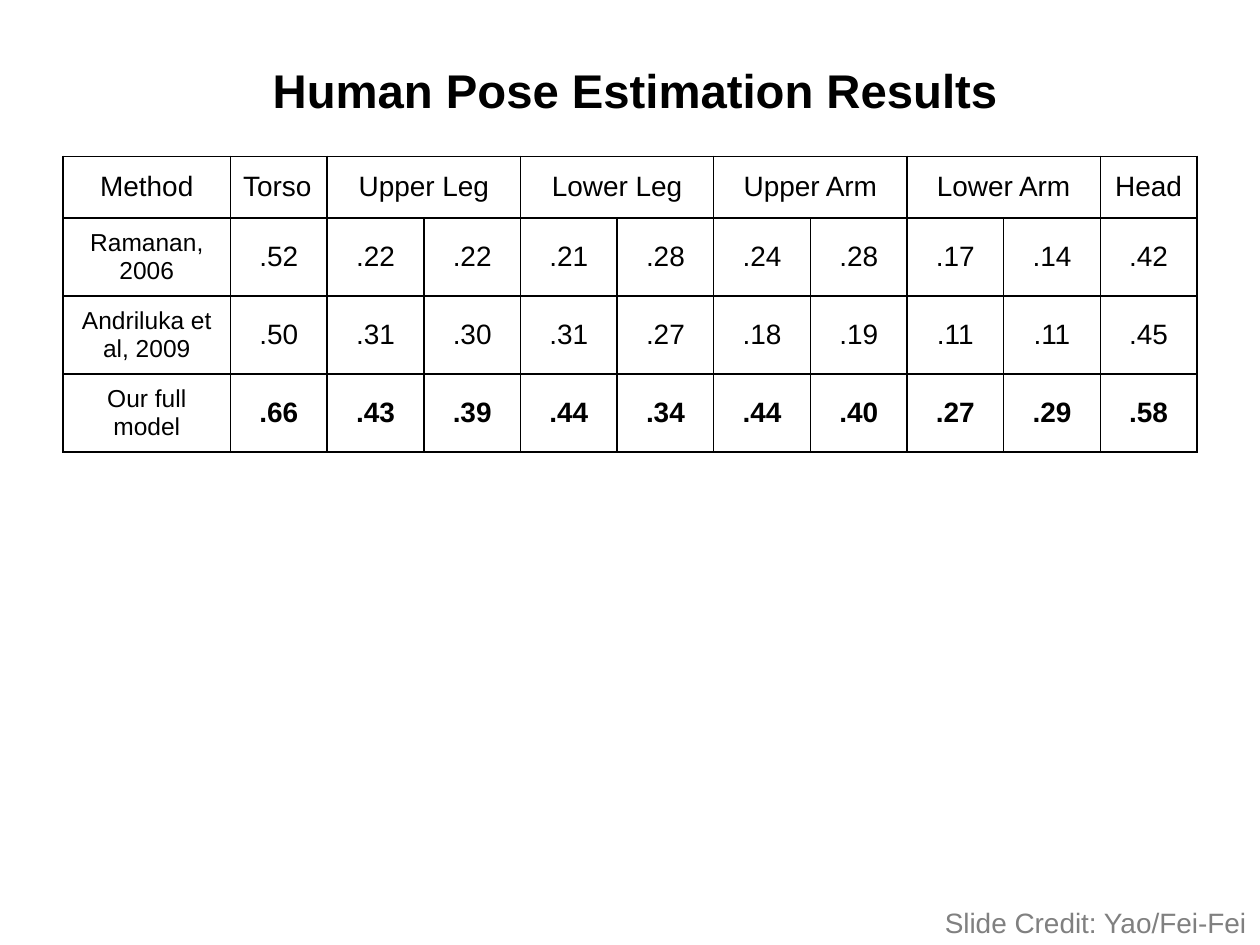
from dataclasses import dataclass

from lxml import etree
from pptx import Presentation
from pptx.dml.color import RGBColor
from pptx.enum.text import MSO_ANCHOR, PP_ALIGN
from pptx.oxml.ns import qn
from pptx.slide import Slide
from pptx.util import Inches, Pt

LEFT, CENTER = PP_ALIGN.LEFT, PP_ALIGN.CENTER
TOP, MIDDLE = MSO_ANCHOR.TOP, MSO_ANCHOR.MIDDLE

COLORS = {"ink": "000000", "credit": "808080"}
HEADERS = [("Method", 1), ("Torso", 1), ("Upper Leg", 2), ("Lower Leg", 2),
           ("Upper Arm", 2), ("Lower Arm", 2), ("Head", 1)]
RESULTS = [
    ("Ramanan, 2006", ".52 .22 .22 .21 .28 .24 .28 .17 .14 .42"),
    ("Andriluka et al, 2009", ".50 .31 .30 .31 .27 .18 .19 .11 .11 .45"),
    ("Our full model", ".66 .43 .39 .44 .34 .44 .40 .27 .29 .58"),
]
TABLE_WIDTH, METHOD_WIDTH = 9, 1.33
HEADER_HEIGHT, RESULT_HEIGHT = 0.49, 0.62


@dataclass
class SlideBuilder:
    """Holds the slide and its text style, and adds each kind of element."""
    slide: Slide
    font: str = "Arial"
    size: int = 16

    def set_text(self, frame, text, size=None, color="ink", bold=False, align=CENTER):
        frame.text = text
        paragraph = frame.paragraphs[0]
        paragraph.alignment = align
        for run in paragraph.runs:
            run.font.name = self.font
            run.font.size = Pt(size or self.size)
            run.font.bold = bold
            run.font.color.rgb = RGBColor.from_string(COLORS[color])

    def text(self, left, top, width, height, text, wrap=True, anchor=TOP, **style):
        box = self.slide.shapes.add_textbox(
            Inches(left), Inches(top), Inches(width), Inches(height))
        box.text_frame.word_wrap = wrap
        box.text_frame.vertical_anchor = anchor
        self.set_text(box.text_frame, text, **style)

    def border(self, cell):
        properties = cell._tc.get_or_add_tcPr()
        for side in ("a:lnL", "a:lnR", "a:lnT", "a:lnB"):
            line = etree.SubElement(properties, qn(side), w=str(Pt(1)))
            fill = etree.SubElement(line, qn("a:solidFill"))
            etree.SubElement(fill, qn("a:srgbClr"), val=COLORS["ink"])

    def table(self, left, top, widths, heights):
        table = self.slide.shapes.add_table(
            len(heights), len(widths), Inches(left), Inches(top),
            Inches(sum(widths)), Inches(sum(heights))).table
        table.first_row = table.horz_banding = False
        for column, width in zip(table.columns, widths):
            column.width = Inches(width)
        for row, height in zip(table.rows, heights):
            row.height = Inches(height)
        for cell in table.iter_cells():
            self.border(cell)
            cell.fill.background()
            cell.vertical_anchor = MIDDLE
        return table


def add_results(builder):
    score_count = len(RESULTS[0][1].split())
    score_width = (TABLE_WIDTH - METHOD_WIDTH) / score_count
    table = builder.table(0.5, 1.24,
                          [METHOD_WIDTH] + [score_width] * score_count,
                          [HEADER_HEIGHT] + [RESULT_HEIGHT] * len(RESULTS))
    column = 0
    for header, span in HEADERS:
        cell = table.cell(0, column)
        if span > 1:
            cell.merge(table.cell(0, column + span - 1))
        builder.set_text(cell.text_frame, header,
                         align=LEFT if header == "Torso" else CENTER)
        column += span
    for row, (method, scores) in enumerate(RESULTS, start=1):
        builder.set_text(table.cell(row, 0).text_frame, method, size=14)
        for column, score in enumerate(scores.split(), start=1):
            builder.set_text(table.cell(row, column).text_frame, score,
                             bold=row == len(RESULTS))


def main():
    deck = Presentation()
    deck.slide_width, deck.slide_height = Inches(10), Inches(7.5)
    builder = SlideBuilder(deck.slides.add_slide(deck.slide_layouts[6]))
    builder.text(0.75, 0.42, 8.58, 0.58, "Human Pose Estimation Results",
                 anchor=MIDDLE, size=27, bold=True)
    add_results(builder)
    builder.text(7.4, 7.14, 2.62, 0.37, "Slide Credit: Yao/Fei-Fei",
                 wrap=False, color="credit", align=LEFT)
    deck.save("out.pptx")


if __name__ == "__main__":
    main()
